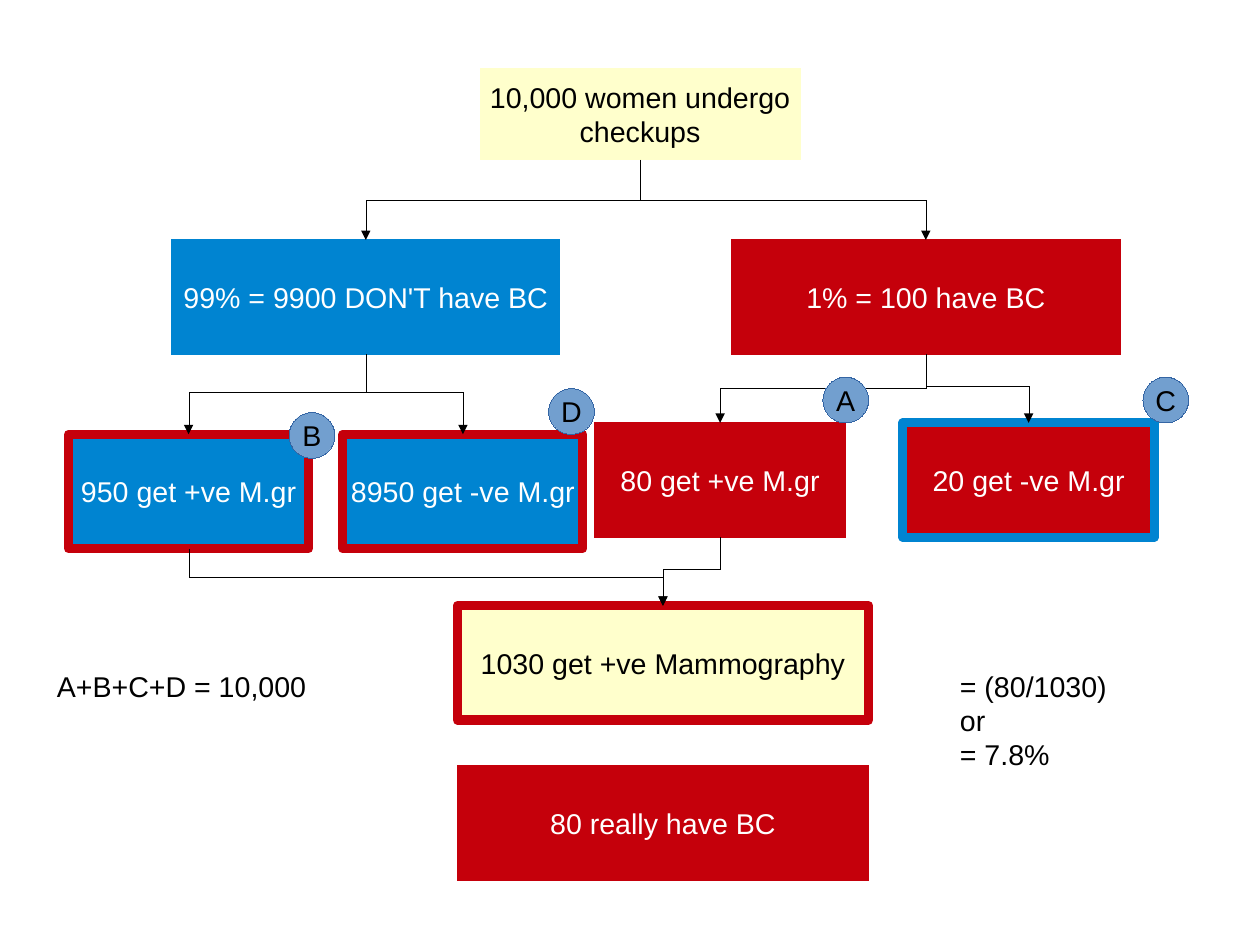
from dataclasses import dataclass

from lxml.etree import SubElement
from pptx import Presentation
from pptx.dml.color import RGBColor
from pptx.enum.shapes import MSO_CONNECTOR as Connector, MSO_SHAPE as Shape
from pptx.enum.text import MSO_ANCHOR as Anchor, PP_ALIGN as Align
from pptx.oxml.ns import qn
from pptx.util import Cm, Inches, Pt


@dataclass(frozen=True)
class Theme:
    font: str = "Arial"
    size: int = 18
    outline: float = 5.75
    black: str = "000000"
    white: str = "FFFFFF"
    cream: str = "FFFFCC"
    red: str = "C5000B"
    blue: str = "0084D1"
    badge: str = "729FCF"
    badge_line: str = "3465A4"


@dataclass(frozen=True)
class Box:
    left: float
    top: float
    width: float
    height: float

    @property
    def right(self):
        return self.left + self.width

    @property
    def bottom(self):
        return self.top + self.height

    def inches(self):
        return [Inches(n) for n in (self.left, self.top, self.width, self.height)]


@dataclass(frozen=True)
class Test:
    text: str
    outline: str | None
    bend: float
    badge: str
    badge_shift: tuple


THEME = Theme()
BOTTOM, TOP = 2, 0
BADGE_SIZE = 0.4


def rgb(code):
    return RGBColor.from_string(code)


def write_lines(frame, lines, color, alignment):
    for index, line in enumerate(lines):
        paragraph = frame.paragraphs[0] if index == 0 else frame.add_paragraph()
        paragraph.alignment = alignment
        run = paragraph.add_run()
        run.text = line
        run.font.name = THEME.font
        run.font.size = Pt(THEME.size)
        run.font.color.rgb = rgb(color)


def format_line(shape, color, width=0):
    """Set the line; the width is written even when 0, which is a hairline."""
    shape.line.color.rgb = rgb(color)
    line = shape.element.spPr.find(qn("a:ln"))
    line.set("w", f"{int(Pt(width))}")
    return line


def add_node(slide, box, text, fill, color=THEME.white, outline=None,
             width=THEME.outline, kind=Shape.RECTANGLE):
    """Add a filled shape; without an outline colour its edge is a hairline."""
    shape = slide.shapes.add_shape(kind, *box.inches())
    shape.shadow.inherit = False
    shape.fill.solid()
    shape.fill.fore_color.rgb = rgb(fill)
    format_line(shape, outline or fill, width if outline else 0)
    shape.text_frame.word_wrap = False
    shape.text_frame.vertical_anchor = Anchor.MIDDLE
    write_lines(shape.text_frame, text.split("\n"), color, Align.CENTER)
    return shape


def add_arrow(slide, start, end, bend=0.5):
    """Join two boxes by a down-across-down arrow that turns at the bend."""
    x1, y1 = start.left + start.width // 2, start.top + start.height
    x2, y2 = end.left + end.width // 2, end.top
    arrow = slide.shapes.add_connector(Connector.ELBOW, x1, y1, x2, y2)
    arrow.begin_connect(start, BOTTOM)
    arrow.end_connect(end, TOP)

    # A standard elbow runs sideways, so it is turned to run downwards.
    drop, span = y2 - y1, abs(x2 - x1)
    arrow.left, arrow.top = (x1 + x2 - drop) // 2, (y1 + y2 - span) // 2
    arrow.width, arrow.height = drop, span
    properties = arrow.element.spPr
    goes_right = x2 > x1
    properties.xfrm.rot = 270 if goes_right else 90
    properties.xfrm.flipH = goes_right
    properties.xfrm.flipV = False
    guides = properties.find(qn("a:prstGeom")).get_or_add_avLst()
    SubElement(guides, qn("a:gd"), name="adj1", fmla=f"val {round(bend * 100000)}")

    line = format_line(arrow, THEME.black)
    SubElement(line, qn("a:tailEnd"), type="triangle")
    SubElement(properties, qn("a:effectLst"))


def add_badge(slide, box, letter, shift):
    """Add a lettered circle centred near the top right corner of the box."""
    left = box.right + shift[0] - BADGE_SIZE / 2
    top = box.top + shift[1] - BADGE_SIZE / 2
    add_node(slide, Box(left, top, BADGE_SIZE, BADGE_SIZE), letter, THEME.badge,
             THEME.black, THEME.badge_line, 0, Shape.OVAL)


def draw_group(slide, area, text, fill, indent, test_width, tests):
    """Draw a group with its two test outcomes; return group and positive box."""
    group = add_node(slide, Box(area.left + indent, area.top, 3.4, 1), text, fill)
    boxes = [Box(left, area.bottom - 1, test_width, 1)
             for left in (area.left, area.right - test_width)]
    nodes = [add_node(slide, box, test.text, fill, outline=test.outline)
             for box, test in zip(boxes, tests)]
    for node, test in zip(nodes, tests):
        add_arrow(slide, group, node, test.bend)
    for box, test in zip(boxes, tests):
        add_badge(slide, box, test.badge, test.badge_shift)
    return group, nodes[0]


def draw_result(slide, area):
    """Draw the two stacked result boxes; return the upper one."""
    positive = add_node(slide, Box(area.left, area.top, area.width, 1),
                        "1030 get +ve Mammography", THEME.cream, THEME.black, THEME.red)
    add_node(slide, Box(area.left, area.bottom - 1, area.width, 1),
             "80 really have BC", THEME.red)
    return positive


def draw_note(slide, box, lines):
    frame = slide.shapes.add_textbox(*box.inches()).text_frame
    frame.word_wrap = True
    write_lines(frame, lines, THEME.black, Align.LEFT)


def main():
    presentation = Presentation()
    presentation.slide_width = Cm(28)
    presentation.slide_height = Cm(21)
    slide = presentation.slides.add_slide(presentation.slide_layouts[6])

    women = add_node(slide, Box(4.2, 0.6, 2.8, 0.8),
                     "10,000 women undergo\ncheckups", THEME.cream, THEME.black)
    healthy, false_positive = draw_group(
        slide, Box(0.6, 2.1, 4.5, 2.7), "99% = 9900 DON'T have BC", THEME.blue, 0.9, 2.1,
        [Test("950 get +ve M.gr", THEME.red, 0.47, "B", (0.03, 0.01)),
         Test("8950 get -ve M.gr", THEME.red, 0.47, "D", (-0.1, -0.2))])
    ill, true_positive = draw_group(
        slide, Box(5.2, 2.1, 4.9, 2.6), "1% = 100 have BC", THEME.red, 1.2, 2.2,
        [Test("80 get +ve M.gr", None, 0.5, "A", (0, -0.2)),
         Test("20 get -ve M.gr", THEME.blue, 0.47, "C", (0.1, -0.2))])
    positive = draw_result(slide, Box(4, 5.3, 3.6, 2.4))

    for group in (healthy, ill):
        add_arrow(slide, women, group)
    add_arrow(slide, false_positive, positive)
    add_arrow(slide, true_positive, positive, 0.47)

    draw_note(slide, Box(0.4, 5.8, 2.9, 0.38), ["A+B+C+D = 10,000"])
    draw_note(slide, Box(8.3, 5.8, 2.1, 0.94), ["= (80/1030)", "or", "= 7.8%"])
    presentation.save("out.pptx")


if __name__ == "__main__":
    main()
